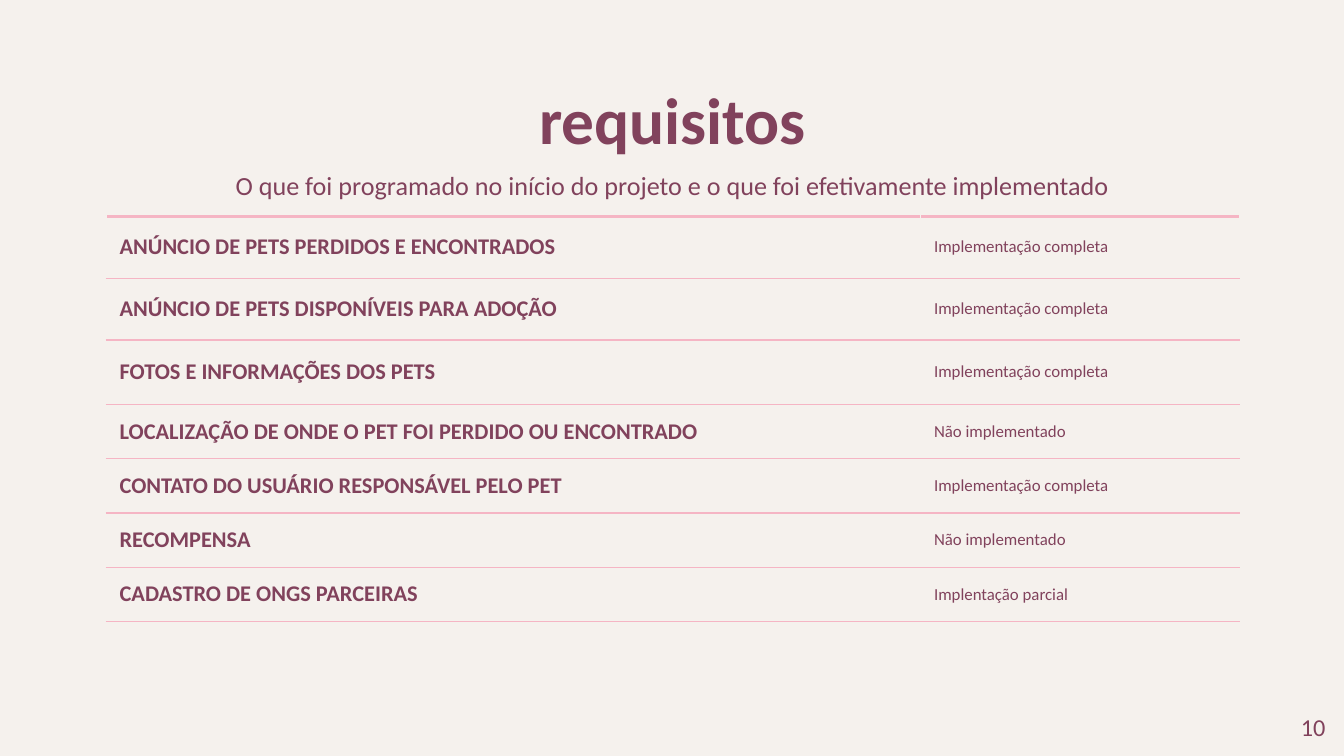
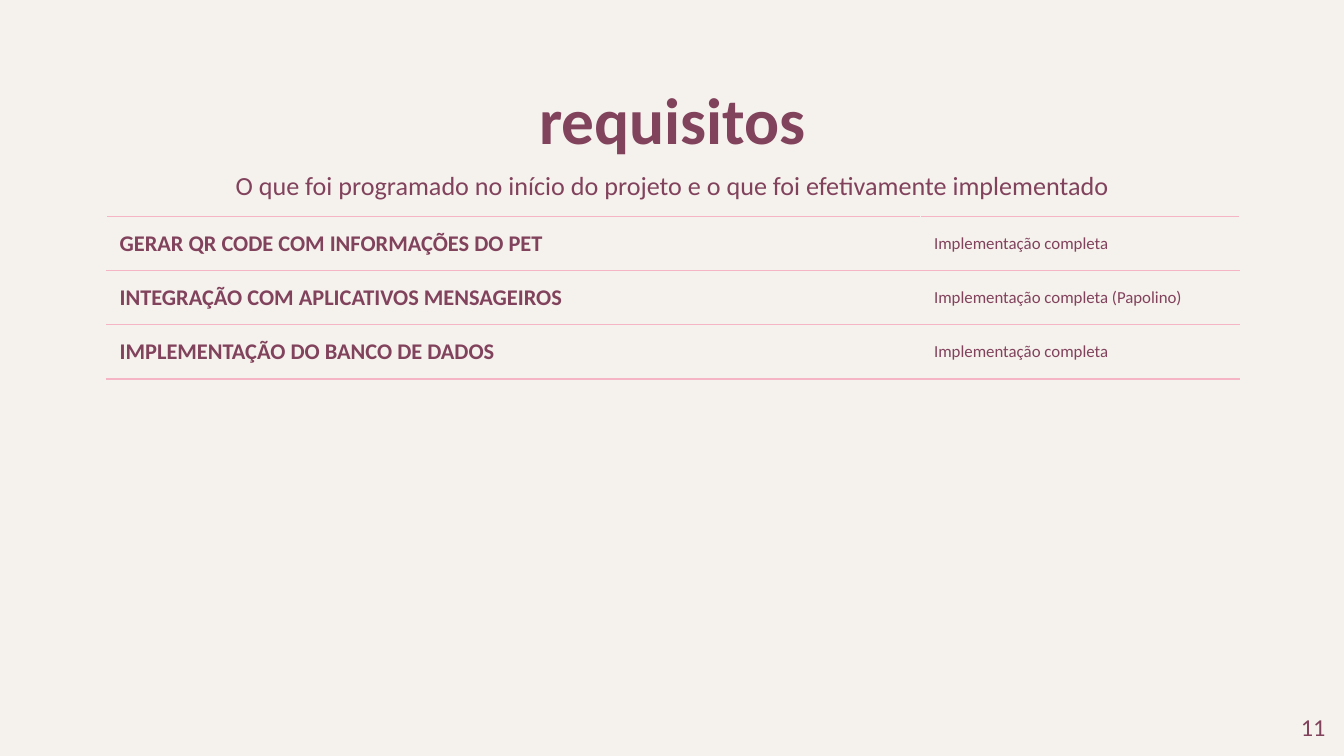
from lxml.etree import SubElement
from pptx import Presentation
from pptx.dml.color import RGBColor
from pptx.enum.text import MSO_ANCHOR, MSO_AUTO_SIZE, PP_ALIGN
from pptx.oxml.ns import qn
from pptx.util import Inches, Pt

PLUM, PINK, CREAM = "81425C", "F5B5C4", "F5F1ED"
TITLE = "requisitos"
SUBTITLE = "O que foi programado no início do projeto e o que foi efetivamente implementado"
LEFT, WIDTH = 0.79, 8.43
COLUMN_WIDTHS = (6.06, 2.37)
ROW_HEIGHT = 0.37
FIRST_PAGE = 10

DONE, MISSING = "Implementação completa", "Não implementado"

# Each page: weight of the top rule, then (requirement, status, row height)
PAGES = [
    (1.5, [
        ("ANÚNCIO DE PETS PERDIDOS E ENCONTRADOS", DONE, 0.46),
        ("ANÚNCIO DE PETS DISPONÍVEIS PARA ADOÇÃO", DONE, 0.46),
        ("FOTOS E INFORMAÇÕES DOS PETS", DONE, 0.48),
        ("LOCALIZAÇÃO DE ONDE O PET FOI PERDIDO OU ENCONTRADO", MISSING, 0.36),
        ("CONTATO DO USUÁRIO RESPONSÁVEL PELO PET", DONE, 0.36),
        ("RECOMPENSA", MISSING, ROW_HEIGHT),
        ("CADASTRO DE ONGS PARCEIRAS", "Implentação parcial", ROW_HEIGHT),
    ]),
    (0.75, [
        ("GERAR QR CODE COM INFORMAÇÕES DO PET", DONE, ROW_HEIGHT),
        ("INTEGRAÇÃO COM APLICATIVOS MENSAGEIROS", DONE + " (Papolino)", ROW_HEIGHT),
        ("IMPLEMENTAÇÃO DO BANCO DE DADOS", DONE, ROW_HEIGHT),
    ]),
]


def write(box, paragraph, text, size, bold=False, align=PP_ALIGN.LEFT, anchor=MSO_ANCHOR.TOP):
    """Set one unbulleted paragraph; box is the text frame or cell that holds its margins."""
    box.vertical_anchor = anchor
    for side in ("left", "right", "top", "bottom"):
        setattr(box, f"margin_{side}", Inches(0.1))
    paragraph.text = text
    paragraph.alignment = align
    paragraph.space_before = Pt(0)
    properties = paragraph._p.get_or_add_pPr()
    properties.set("marL", "0")
    properties.set("indent", "0")
    SubElement(properties, qn("a:buNone"))
    font = paragraph.runs[0].font
    for name, value in {"name": "Calibri", "size": Pt(size), "bold": bold}.items():
        setattr(font, name, value)
    font.color.rgb = RGBColor.from_string(PLUM)


def rule_cell(cell, top_weight):
    """Draw pink rules above and below a cell, and background-coloured sides."""
    properties = cell._tc.get_or_add_tcPr()
    for tag, color, weight in (("lnL", CREAM, 0.75), ("lnR", CREAM, 0.75),
                               ("lnT", PINK, top_weight), ("lnB", PINK, 0.75)):
        line = SubElement(properties, qn(f"a:{tag}"), w=str(Pt(weight)))
        SubElement(SubElement(line, qn("a:solidFill")), qn("a:srgbClr"), val=color)
    cell.fill.background()


prs = Presentation()
prs.slide_width, prs.slide_height = Inches(10), Inches(10 * 9 / 16)
background = prs.slide_master.background.fill
background.solid()
background.fore_color.rgb = RGBColor.from_string(CREAM)

for page, (top_weight, requirements) in enumerate(PAGES, FIRST_PAGE):
    slide = prs.slides.add_slide(prs.slide_layouts[1])
    title, subtitle = slide.placeholders
    page_number = slide.shapes.add_textbox(0, 0, 0, 0)
    for part, text, area, size, bold, align, anchor in (
            (title, TITLE, (LEFT, 0.49, WIDTH, 0.63), 35, True,
             PP_ALIGN.CENTER, MSO_ANCHOR.TOP),
            (subtitle, SUBTITLE, (LEFT, 1.16, WIDTH, 0.43), 14, False,
             PP_ALIGN.CENTER, MSO_ANCHOR.TOP),
            (page_number, str(page), (9.36, 5.19, 0.6, 0.43), 13, False,
             PP_ALIGN.RIGHT, MSO_ANCHOR.MIDDLE)):
        part.left, part.top, part.width, part.height = map(Inches, area)
        frame = part.text_frame
        frame.word_wrap = True
        frame.auto_size = MSO_AUTO_SIZE.NONE
        write(frame, frame.paragraphs[0], text, size, bold, align, anchor)

    table_height = sum(height for _, _, height in requirements)
    table = slide.shapes.add_table(len(requirements), 2, Inches(LEFT), Inches(1.61),
                                   Inches(WIDTH), Inches(table_height)).table
    table.first_row = table.horz_banding = False
    for column, width in zip(table.columns, COLUMN_WIDTHS):
        column.width = Inches(width)
    for index, (requirement, status, height) in enumerate(requirements):
        table.rows[index].height = Inches(height)
        for column, (text, size, bold) in enumerate(((requirement, 12, True),
                                                     (status, 9, False))):
            cell = table.cell(index, column)
            rule_cell(cell, top_weight if index == 0 else 0.75)
            write(cell, cell.text_frame.paragraphs[0], text, size, bold,
                  anchor=MSO_ANCHOR.MIDDLE)

prs.save("out.pptx")
